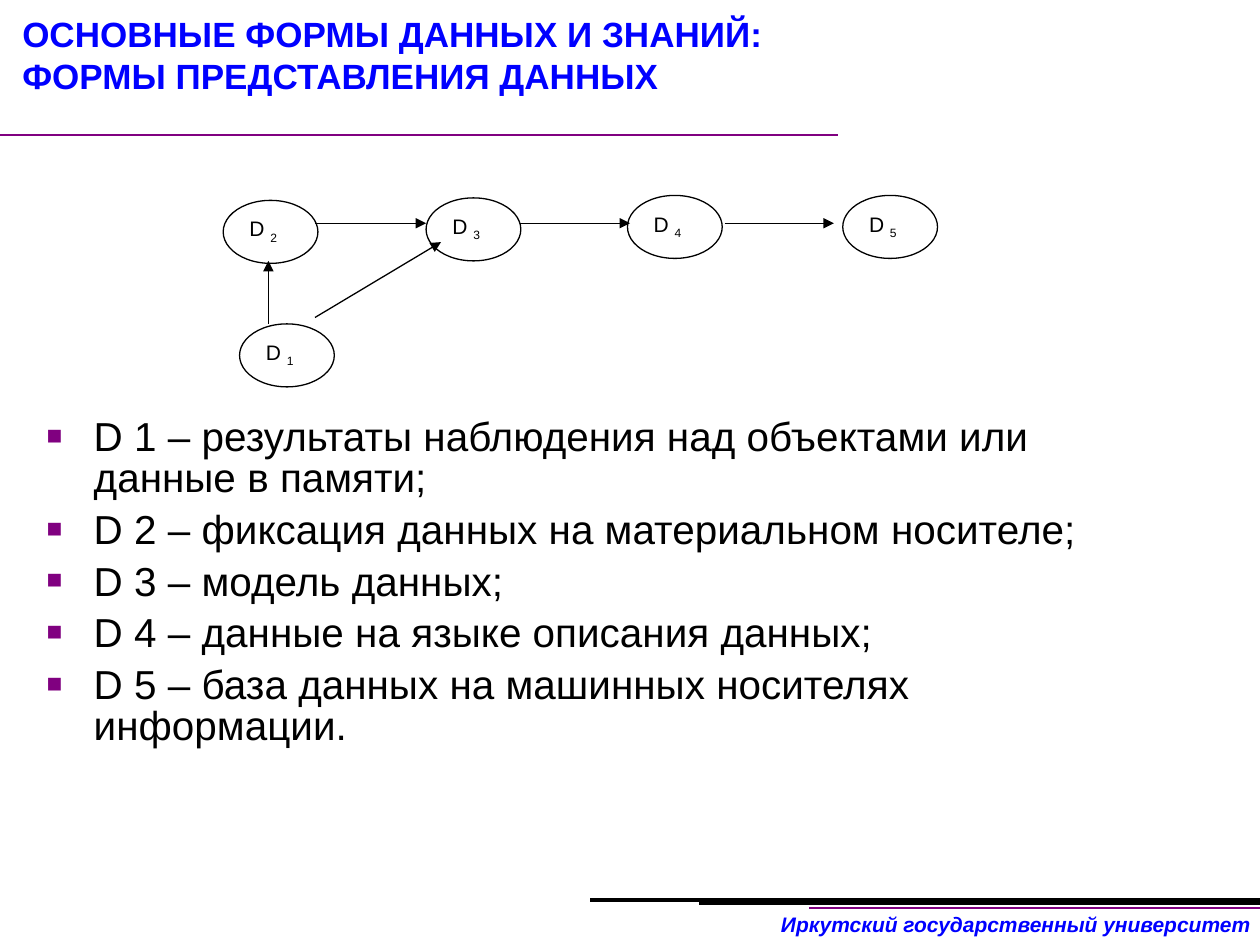
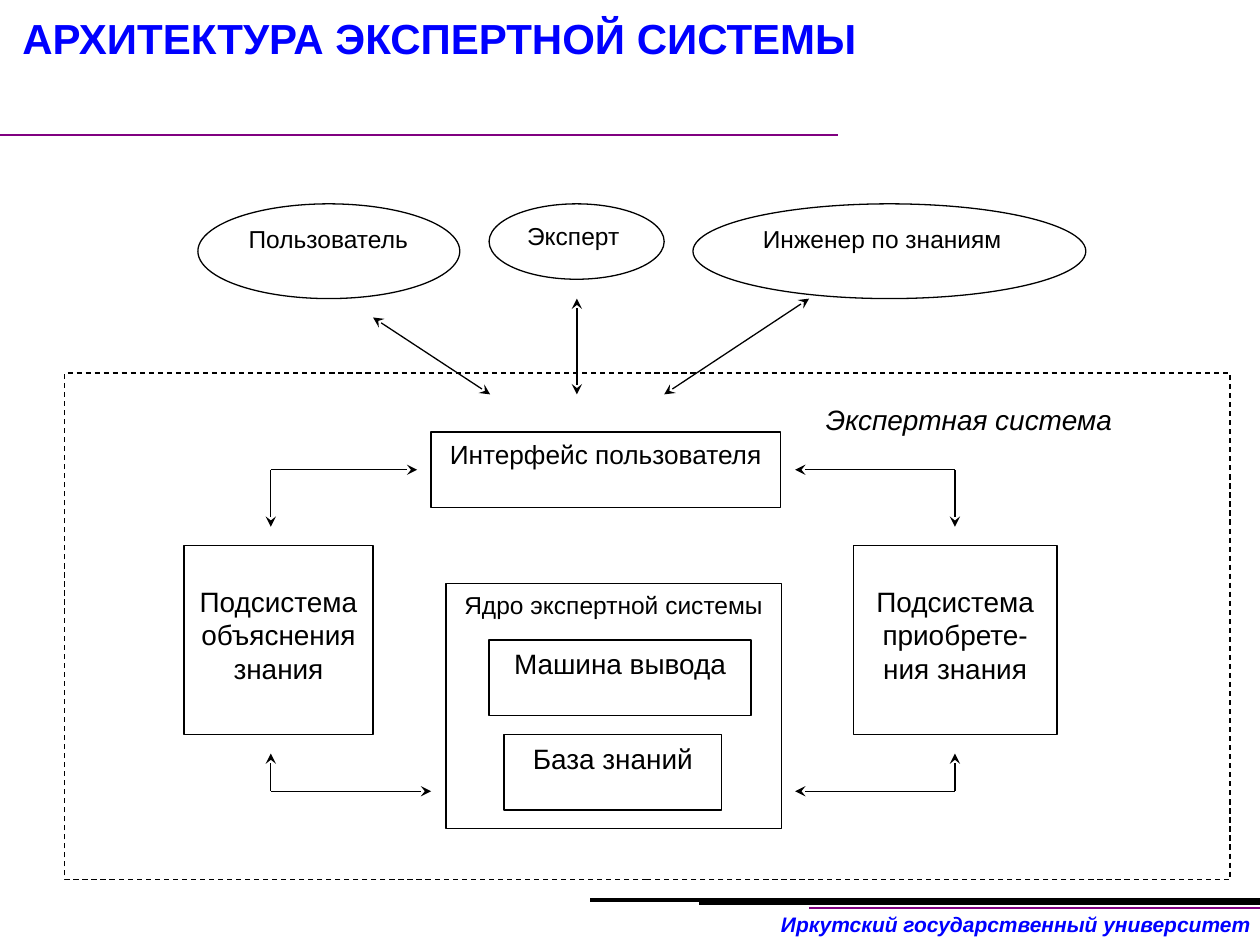
from typing import NamedTuple, Optional

from lxml import etree
from pptx import Presentation, util as u
from pptx.dml.color import RGBColor
from pptx.enum import dml, shapes, text
from pptx.oxml import ns

COLORS = {"ink": "000000", "paper": "FFFFFF", "heading": "0000FF", "accent": "800080"}
FONT = "Arial"
OVAL = shapes.MSO_SHAPE.OVAL
RECT = shapes.MSO_SHAPE.RECTANGLE


class Node(NamedTuple):
    label: str
    left: float
    top: float
    width: float
    height: float
    size: float
    outline: shapes.MSO_SHAPE = RECT
    inset_top: float = 0.13
    subscript: str = ""


class Link(NamedTuple):
    x1: float
    y1: float
    x2: float
    y2: float
    color: str = "ink"
    weight: float = 0.75
    head: Optional[str] = None
    tail: Optional[str] = None


FOOTER = "Иркутский государственный университет"
SHARED_RULES = [
    Link(25.5, 18.31, 16.31, 18.31, "accent", 1),
    Link(25.5, 18.21, 14.1, 18.21, weight=1.5),
    Link(25.5, 18.14, 11.89, 18.14, weight=2.25),
    Link(-0.1, 2.72, 16.89, 2.72, "accent", 1),
]

DATA_FORMS = [
    Node("D ", left, top, 1.91, 1.27, 12, OVAL, subscript=number)
    for number, left, top in [
        ("2", 4.5, 4.04),
        ("3", 8.59, 3.99),
        ("4", 12.65, 3.94),
        ("5", 16.99, 3.94),
        ("1", 4.83, 6.53),
    ]
]
DATA_FLOW = [
    Link(*ends, tail="triangle")
    for ends in [
        (5.41, 6.53, 5.41, 5.26),
        (6.35, 4.5, 8.59, 4.5),
        (10.49, 4.5, 12.7, 4.5),
        (14.61, 4.5, 16.81, 4.5),
        (6.35, 6.4, 8.89, 4.88),
    ]
]
DEFINITIONS = [
    "D 1 – результаты наблюдения над объектами или данные в памяти;",
    "D 2 – фиксация данных на материальном носителе;",
    "D 3 – модель данных;",
    "D 4 – данные на языке описания данных;",
    "D 5 – база данных на машинных носителях информации.",
]

PEOPLE = [
    Node("Пользователь", 3.99, 4.11, 5.28, 1.91, 14, OVAL),
    Node("Эксперт", 9.86, 4.11, 3.53, 1.52, 14, OVAL),
    Node("Инженер по знаниям", 13.97, 4.11, 7.92, 1.91, 14, OVAL),
]
SUBSYSTEMS = [
    Node("Интерфейс пользователя", 8.69, 8.71, 7.04, 1.52, 15),
    Node("Подсистема объяснения знания", 3.71, 11, 3.81, 3.81, 16, inset_top=0.78),
    Node("Подсистема приобрете-ния знания", 17.2, 11, 4.11, 3.81, 16, inset_top=0.78),
    Node("Ядро экспертной системы", 8.99, 11.76, 6.76, 4.95, 14),
    Node("Машина вывода", 9.86, 12.9, 5.28, 1.52, 16),
    Node("База знаний", 10.16, 14.81, 4.39, 1.52, 16),
]
DIALOGUES = [
    Link(*ends, head="stealth", tail="stealth")
    for ends in [
        (11.63, 6.02, 11.63, 7.95),
        (16.31, 6.02, 13.39, 7.95),
        (9.88, 7.95, 7.52, 6.4),
    ]
]
EXCHANGES = [
    Link(corner_x, corner_y, end_x, end_y, tail="stealth")
    for corner_x, corner_y, reach_x, reach_y in [
        (5.46, 9.47, 8.41, 10.62),
        (19.25, 9.47, 16.03, 10.62),
        (5.46, 15.95, 8.69, 15.19),
        (19.25, 15.95, 16.03, 15.19),
    ]
    for end_x, end_y in [(reach_x, corner_y), (corner_x, reach_y)]
]


def rgb(name: str) -> RGBColor:
    return RGBColor.from_string(COLORS[name])


def style(paragraph, size: float, color: str = "ink", bold: bool = False, italic: bool = False) -> None:
    font = paragraph.font
    font.name, font.size = FONT, u.Pt(size)
    font.bold, font.italic = bold, italic
    font.color.rgb = rgb(color)


def add_text(slide, left: float, top: float, width: float, height: float, wrap: bool = True):
    frame = slide.shapes.add_textbox(u.Cm(left), u.Cm(top), u.Cm(width), u.Cm(height)).text_frame
    frame.word_wrap = wrap
    return frame


def draw_link(slide, link: Link) -> None:
    connector = slide.shapes.add_connector(
        shapes.MSO_CONNECTOR.STRAIGHT, u.Cm(link.x1), u.Cm(link.y1), u.Cm(link.x2), u.Cm(link.y2)
    )
    connector.line.color.rgb = rgb(link.color)
    connector.line.width = u.Pt(link.weight)
    line = connector.line._get_or_add_ln()
    for tag, arrow in (("a:headEnd", link.head), ("a:tailEnd", link.tail)):
        if arrow:
            etree.SubElement(line, ns.qn(tag), type=arrow)
    etree.SubElement(connector._element.spPr, ns.qn("a:effectLst"))


def add_outline(slide, outline: shapes.MSO_SHAPE, left: float, top: float, width: float, height: float):
    shape = slide.shapes.add_shape(outline, u.Cm(left), u.Cm(top), u.Cm(width), u.Cm(height))
    shape.shadow.inherit = False
    shape.line.color.rgb = rgb("ink")
    shape.line.width = u.Pt(0.75)
    return shape


def draw_node(slide, node: Node) -> None:
    shape = add_outline(slide, node.outline, node.left, node.top, node.width, node.height)
    shape.fill.solid()
    shape.fill.fore_color.rgb = rgb("paper")
    frame = shape.text_frame
    frame.word_wrap = True
    frame.vertical_anchor = text.MSO_ANCHOR.TOP
    frame.margin_top = u.Cm(node.inset_top)
    paragraph = frame.paragraphs[0]
    paragraph.alignment = text.PP_ALIGN.LEFT if node.outline == OVAL else text.PP_ALIGN.CENTER
    paragraph.add_run().text = node.label
    if node.subscript:
        index = paragraph.add_run()
        index.text = node.subscript
        index._r.get_or_add_rPr().set("baseline", "-25000")
    style(paragraph, node.size)


def add_bullet(paragraph) -> None:
    properties = paragraph._p.get_or_add_pPr()
    properties.set("marL", str(u.Cm(0.95)))
    properties.set("indent", str(u.Cm(-0.95)))
    color = etree.SubElement(properties, ns.qn("a:buClr"))
    etree.SubElement(color, ns.qn("a:srgbClr"), val=COLORS["accent"])
    etree.SubElement(properties, ns.qn("a:buSzPct"), val="65000")
    etree.SubElement(properties, ns.qn("a:buFont"), typeface=FONT)
    etree.SubElement(properties, ns.qn("a:buChar"), char="■")


def start_slide(deck, title: str, title_size: float):
    slide = deck.slides.add_slide(deck.slide_layouts[6])
    footer = add_text(slide, 15.44, 18.26, 10.03, 0.76, wrap=False).paragraphs[0]
    footer.text = FOOTER
    footer.alignment = text.PP_ALIGN.RIGHT
    style(footer, 12, "heading", bold=True, italic=True)
    for rule in SHARED_RULES:
        draw_link(slide, rule)
    heading = add_text(slide, 0.2, 0.13, 25.3, 1.55).paragraphs[0]
    heading.text = title
    style(heading, title_size, "heading", bold=True)
    return slide


def build_data_forms(deck) -> None:
    slide = start_slide(deck, "ОСНОВНЫЕ ФОРМЫ ДАННЫХ И ЗНАНИЙ:\vФОРМЫ ПРЕДСТАВЛЕНИЯ ДАННЫХ", 20)
    definitions = add_text(slide, 0.69, 8.33, 22.86, 7.39)
    for position, definition in enumerate(DEFINITIONS):
        paragraph = definitions.add_paragraph() if position else definitions.paragraphs[0]
        paragraph.text = definition
        paragraph.line_spacing = 0.84
        paragraph.space_before = u.Pt(6.2 if position else 0)
        add_bullet(paragraph)
        style(paragraph, 23.1)
    for form in DATA_FORMS:
        draw_node(slide, form)
    for flow in DATA_FLOW:
        draw_link(slide, flow)


def build_architecture(deck) -> None:
    slide = start_slide(deck, "АРХИТЕКТУРА ЭКСПЕРТНОЙ СИСТЕМЫ", 24)
    for part in PEOPLE + SUBSYSTEMS:
        draw_node(slide, part)
    for exchange in DIALOGUES + EXCHANGES:
        draw_link(slide, exchange)
    system_border = add_outline(slide, RECT, 1.3, 7.52, 23.5, 10.21)
    system_border.fill.background()
    system_border.line.dash_style = dml.MSO_LINE.DASH
    system_name = add_text(slide, 16.4, 7.99, 6.66, 1.02).paragraphs[0]
    system_name.text = "Экспертная система"
    style(system_name, 16, italic=True)


def main() -> None:
    deck = Presentation()
    deck.slide_width, deck.slide_height = u.Cm(25.4), u.Cm(19.05)
    build_data_forms(deck)
    build_architecture(deck)
    deck.save("out.pptx")


if __name__ == "__main__":
    main()
